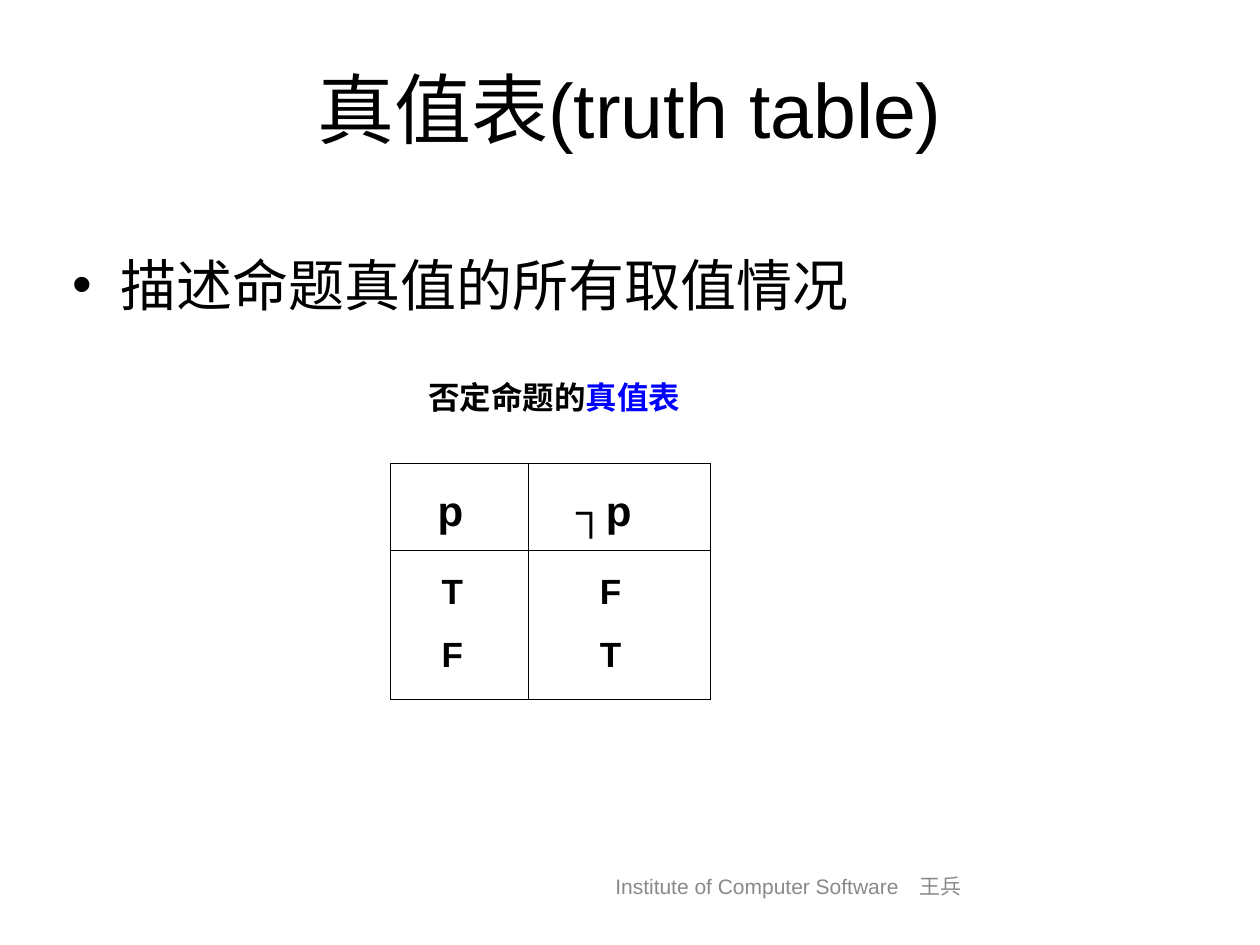
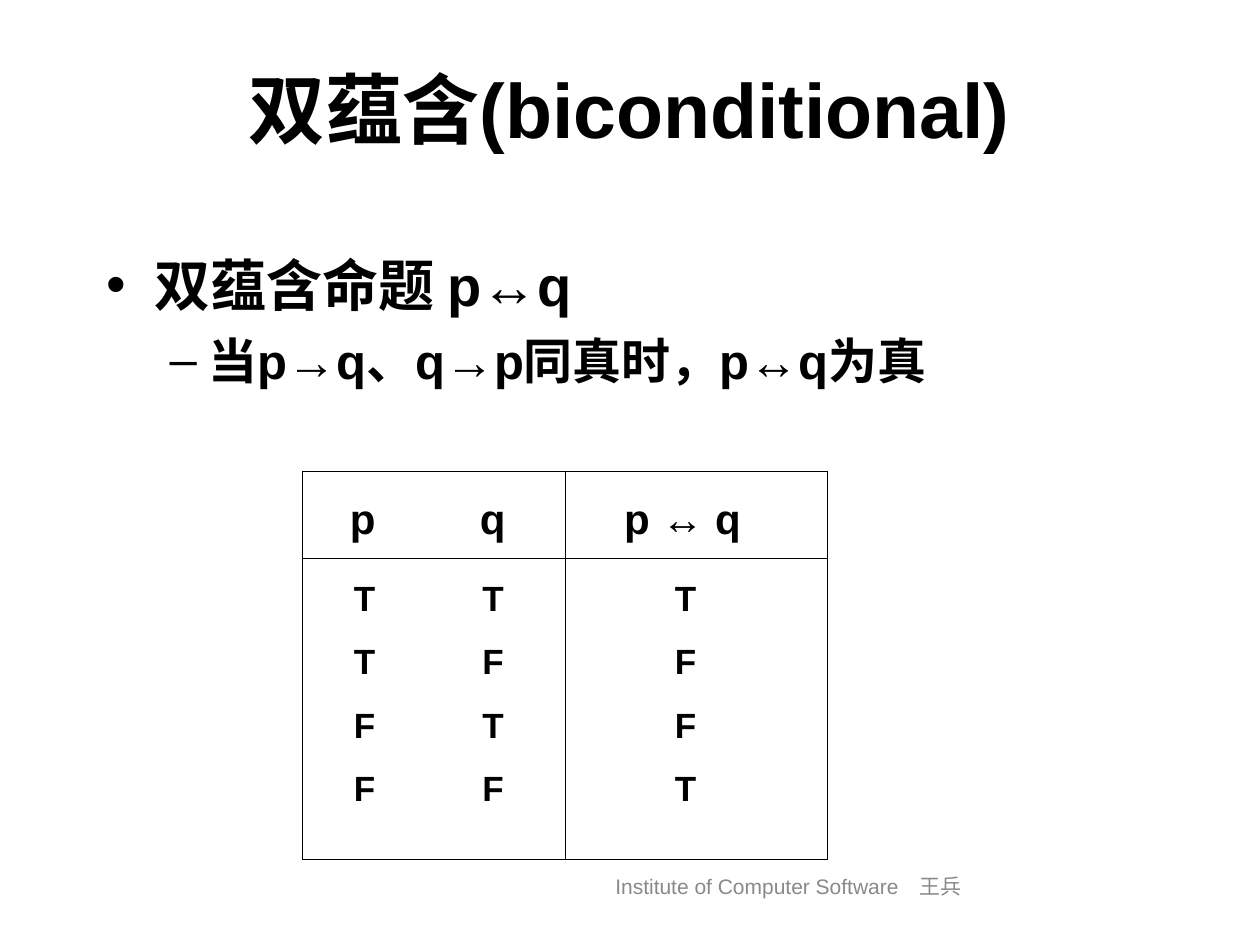
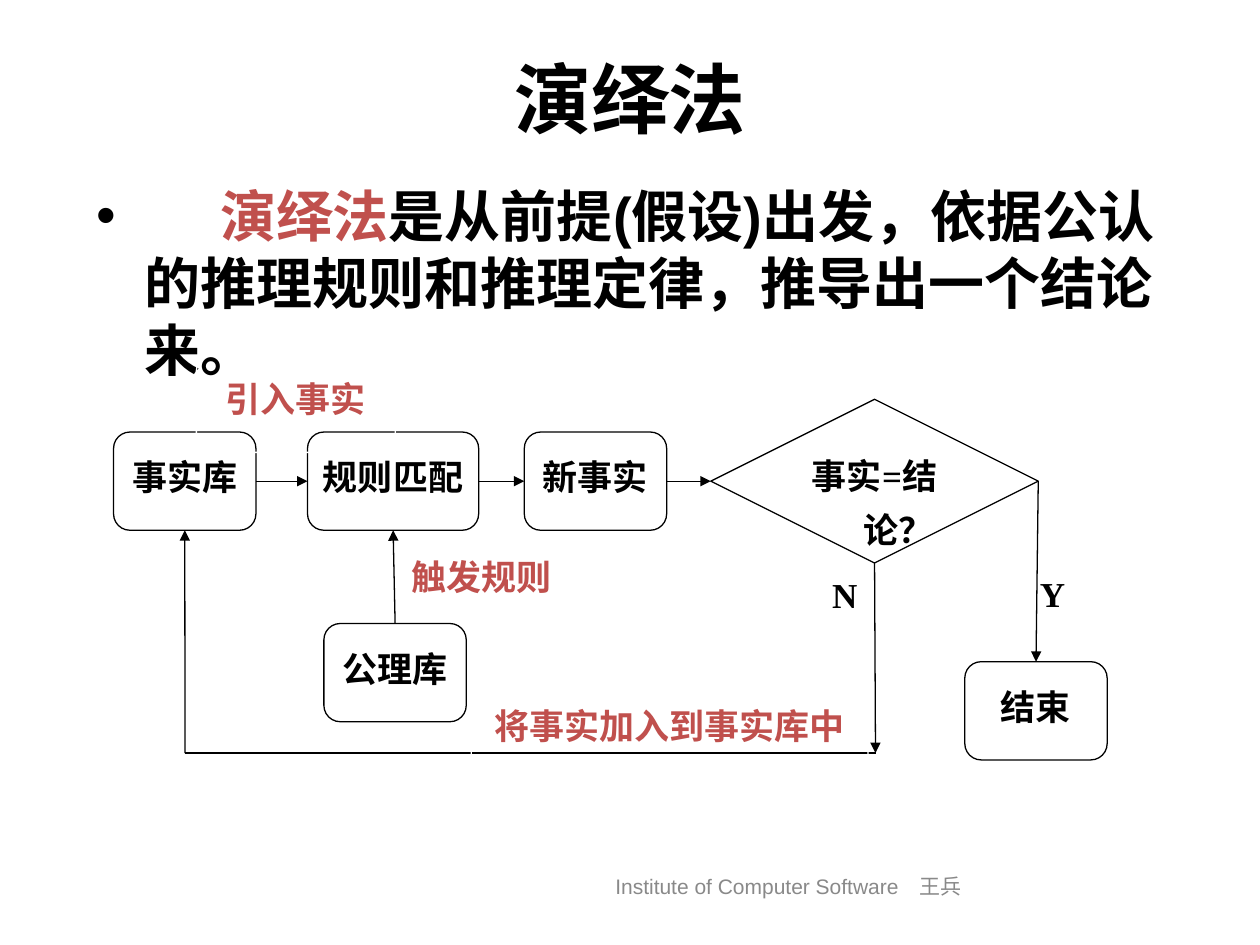
from lxml.etree import SubElement
from pptx import Presentation
from pptx.dml.color import RGBColor
from pptx.enum.shapes import MSO_CONNECTOR, MSO_SHAPE
from pptx.enum.text import MSO_ANCHOR, PP_ALIGN
from pptx.oxml.ns import qn
from pptx.util import Cm, Pt

COLORS = {"ink": "000000", "paper": "FFFFFF", "footer": "898989",
          "term": "0000FF", "accent": "C0504D"}
SANS, SERIF = "Arial", "Times New Roman"

# Content: boxes are (left, top, width, height) in centimetres
FOOTER = "Institute of Computer Software　王兵"
FOOTER_BOX = (6.4, 17.35, 19, 1.02)
TITLE_BOX = (1.9, 1.12, 21.59, 3.18)

NEGATION = {
    "title": "真值表(truth table)", "bold": False, "title_box": TITLE_BOX,
    "body_box": (1.22, 4.93, 22.81, 12.4),
    "points": [(0, [("描述命题真值的所有取值情况", "ink")])],
    "table": {
        "at": (7.87, 9.35), "widths": (2.79, 3.66), "heights": (1.75, 3),
        "stops": [[(0.7,), (0.7,)], [(0.78,), (1.18,)]],
        "cells": [[["p"], ["┐p"]], [["T", "F"], ["F", "T"]]],
    },
}
CAPTION = [("否定命题的", "ink"), ("真值表", "term")]
CAPTION_BOX = (8.38, 7.49, 5.59, 1.02)

BICONDITIONAL = {
    "title": "双蕴含(biconditional)", "bold": True, "title_box": TITLE_BOX,
    "body_box": (1.9, 4.93, 21.59, 12.4),
    "points": [(0, [("双蕴含命题 p↔q", "ink")]),
               (1, [("当p→q、q→p同真时，p↔q为真", "ink")])],
    "table": {
        "at": (6.1, 9.5), "widths": (5.29, 5.29), "heights": (1.75, 6.07),
        "stops": [[(0.7, 3.32), (0.94,)], [(0.78, 3.37), (1.96,)]],
        "cells": [[["p\tq"], ["p ↔ q"]],
                  [["T\tT", "T\tF", "F\tT", "F\tF"], ["T", "F", "F", "T"]]],
    },
}

DEDUCTION = {
    "title": "演绎法", "bold": True, "title_box": (1.5, 0.91, 22.4, 2.57),
    "body_box": (1.7, 3.53, 22.4, 3.2),
    "points": [(0, [("\t演绎法", "accent"),
                    ("是从前提(假设)出发，依据公认的推理规则和推理定律，推导出一个结论来。", "ink")])],
    "first_stop": 2.5,
}

# Flow chart: row of steps, the labels around them, and the arrows
STEP_W, STEP_H = 2.87, 1.98
STEPS = {
    "facts": ("事实库", (2.29, 8.71, STEP_W, STEP_H)),
    "match": ("规则匹配", (6.2, 8.71, 3.45, STEP_H)),
    "new fact": ("新事实", (10.57, 8.71, STEP_W, STEP_H)),
    "test": ("事实=结论？", (14.33, 8.05, 6.6, 3.3)),
    "axioms": ("公理库", (6.53, 12.57, STEP_W, STEP_H)),
    "end": ("结束", (19.45, 13.34, STEP_W, STEP_H)),
}
FILLED_LABELS = [("Y", "ink", (20.65, 11.1, 1.14, STEP_H)),
                 ("N", "ink", (16.46, 11.13, 1.14, STEP_H)),
                 ("触发规则", "accent", (7.7, 10.72, 4.01, STEP_H))]
OPEN_LABELS = [("将事实加入到事实库中", "accent", (9.5, 13.72, 8, STEP_H)),
               ("引入事实", "accent", (3.96, 7.14, 4.01, STEP_H))]
TOP, LEFT, BOTTOM, RIGHT = range(4)
LOOP_Y, LOOP_LEFT, LOOP_RIGHT = 15.18, 3.73, 17.65
# An arrow end is (step, side) or a free point (x, y)
ARROWS = [(("facts", RIGHT), ("match", LEFT), True),
          (("match", RIGHT), ("new fact", LEFT), True),
          (("new fact", RIGHT), ("test", LEFT), True),
          (("test", RIGHT), ("end", TOP), True),
          (("axioms", TOP), ("match", BOTTOM), True),
          (("test", BOTTOM), (LOOP_RIGHT, LOOP_Y), True),
          ((LOOP_RIGHT, LOOP_Y), (LOOP_LEFT, LOOP_Y), False),
          ((LOOP_LEFT, LOOP_Y), ("facts", BOTTOM), True)]

# Bullet levels: sign, left margin, hanging indent, size, space before
LEVELS = [("•", 0.96, 0.96, 32, 8), ("–", 2.06, 0.79, 28, 7)]


def rgb(name):
    return RGBColor.from_string(COLORS[name])


def add_run(paragraph, text, size, color="ink", bold=False, font=SANS):
    run = paragraph.add_run()
    run.text = text
    run.font.size, run.font.bold, run.font.name = Pt(size), bold, font
    run.font.color.rgb = rgb(color)


def indent(paragraph, margin, hanging):
    props = paragraph._p.get_or_add_pPr()
    props.set("marL", str(Cm(margin)))
    props.set("indent", str(-Cm(hanging)))
    return props


def add_stops(props, stops):
    tabs = SubElement(props, qn("a:tabLst"))
    for stop in stops:
        SubElement(tabs, qn("a:tab"), pos=str(Cm(stop)), algn="l")


def add_text_box(slide, box, wrap=True):
    frame = slide.shapes.add_textbox(*map(Cm, box)).text_frame
    frame.word_wrap = wrap
    return frame


def add_points(slide, content):
    frame = add_text_box(slide, content["body_box"])
    for i, (level, runs) in enumerate(content["points"]):
        paragraph = frame.add_paragraph() if i else frame.paragraphs[0]
        sign, margin, hanging, size, before = LEVELS[level]
        paragraph.level = level
        props = indent(paragraph, margin, hanging)
        bullet_color = SubElement(props, qn("a:buClr"))
        SubElement(bullet_color, qn("a:srgbClr"), val=COLORS["ink"])
        SubElement(props, qn("a:buFont"), typeface=SANS)
        SubElement(props, qn("a:buChar"), char=sign)
        if "first_stop" in content:
            add_stops(props, [content["first_stop"]])
        if i:
            paragraph.space_before = Pt(before)
        for text, color in runs:
            add_run(paragraph, text, size, color, content["bold"])


def add_slide(prs, content):
    slide = prs.slides.add_slide(prs.slide_layouts[6])
    footer = add_text_box(slide, FOOTER_BOX)
    footer.vertical_anchor = MSO_ANCHOR.MIDDLE
    title = add_text_box(slide, content["title_box"])
    for frame, text, size, color, bold in (
            (footer, FOOTER, 12, "footer", False),
            (title, content["title"], 44, "ink", content["bold"])):
        frame.paragraphs[0].alignment = PP_ALIGN.CENTER
        add_run(frame.paragraphs[0], text, size, color, bold)
    add_points(slide, content)
    if "table" in content:
        add_truth_table(slide, content["table"])
    return slide


def style_cell(cell):
    cell.fill.solid()
    cell.fill.fore_color.rgb = rgb("paper")
    props = cell._tc.get_or_add_tcPr()
    for i, side in enumerate(("lnL", "lnR", "lnT", "lnB")):
        border = SubElement(props, qn("a:" + side), w=str(Pt(0.45)))
        fill = SubElement(border, qn("a:solidFill"))
        SubElement(fill, qn("a:srgbClr"), val=COLORS["ink"])
        props.insert(i, border)


def add_truth_table(slide, spec):
    widths, heights = spec["widths"], spec["heights"]
    size = (sum(widths), sum(heights))
    table = slide.shapes.add_table(len(heights), len(widths),
                                   *map(Cm, spec["at"] + size)).table
    table.first_row = table.horz_banding = False
    for column, width in zip(table.columns, widths):
        column.width = Cm(width)
    for r, height in enumerate(heights):
        table.rows[r].height = Cm(height)
        text_size, before = (20, 5) if r else (24, 6)
        for c, lines in enumerate(spec["cells"][r]):
            cell = table.cell(r, c)
            style_cell(cell)
            for i, line in enumerate(lines):
                frame = cell.text_frame
                paragraph = frame.add_paragraph() if i else frame.paragraphs[0]
                add_stops(paragraph._p.get_or_add_pPr(), spec["stops"][r][c])
                paragraph.line_spacing = 1.4
                if i:
                    paragraph.space_before = Pt(before)
                add_run(paragraph, "\t" + line, text_size, bold=True)


def add_step(slide, text, box, color="ink", line="ink", filled=True,
             kind=MSO_SHAPE.FLOWCHART_ALTERNATE_PROCESS, inset=(0.15, 0.13)):
    step = slide.shapes.add_shape(kind, *map(Cm, box))
    step.shadow.inherit = False
    if filled:
        step.fill.solid()
        step.fill.fore_color.rgb = rgb("paper")
    else:
        step.fill.background()
    step.line.color.rgb, step.line.width = rgb(line), Pt(0.75)
    frame = step.text_frame
    frame.word_wrap, frame.vertical_anchor = True, MSO_ANCHOR.TOP
    frame.margin_left = frame.margin_right = Cm(inset[0])
    frame.margin_top = frame.margin_bottom = Cm(inset[1])
    paragraph = frame.paragraphs[0]
    paragraph.alignment, paragraph.line_spacing = PP_ALIGN.CENTER, 1.3
    indent(paragraph, 0.96, 0.96)
    add_run(paragraph, text, 20, color, True, SERIF)
    return step


def add_arrow(slide, steps, start, end, head):
    arrow = slide.shapes.add_connector(MSO_CONNECTOR.STRAIGHT, 0, 0, 0, 0)
    if start[0] in steps:
        arrow.begin_connect(steps[start[0]], start[1])
    else:
        arrow.begin_x, arrow.begin_y = map(Cm, start)
    if end[0] in steps:
        arrow.end_connect(steps[end[0]], end[1])
    else:
        arrow.end_x, arrow.end_y = map(Cm, end)
    arrow.line.color.rgb, arrow.line.width = rgb("ink"), Pt(0.75)
    if head:
        SubElement(arrow.line._get_or_add_ln(), qn("a:tailEnd"), type="triangle")
    SubElement(arrow._element.spPr, qn("a:effectLst"))


def add_flow_chart(slide):
    for text, color, box in FILLED_LABELS:
        add_step(slide, text, box, color, "paper")
    steps = {}
    for key, (text, box) in STEPS.items():
        special = ({"kind": MSO_SHAPE.FLOWCHART_DECISION, "inset": (0.05, 0.03)}
                   if key == "test" else {})
        steps[key] = add_step(slide, text, box, **special)
    for start, end, head in ARROWS:
        add_arrow(slide, steps, start, end, head)
    for text, color, box in OPEN_LABELS:
        add_step(slide, text, box, color, "paper", filled=False)


def main():
    prs = Presentation()
    prs.slide_width, prs.slide_height = Cm(25.4), Cm(19.05)

    negation = add_slide(prs, NEGATION)
    caption = add_text_box(negation, CAPTION_BOX, wrap=False)
    for text, color in CAPTION:
        add_run(caption.paragraphs[0], text, 18, color, True)

    add_slide(prs, BICONDITIONAL)
    add_flow_chart(add_slide(prs, DEDUCTION))
    prs.save("out.pptx")


if __name__ == "__main__":
    main()
